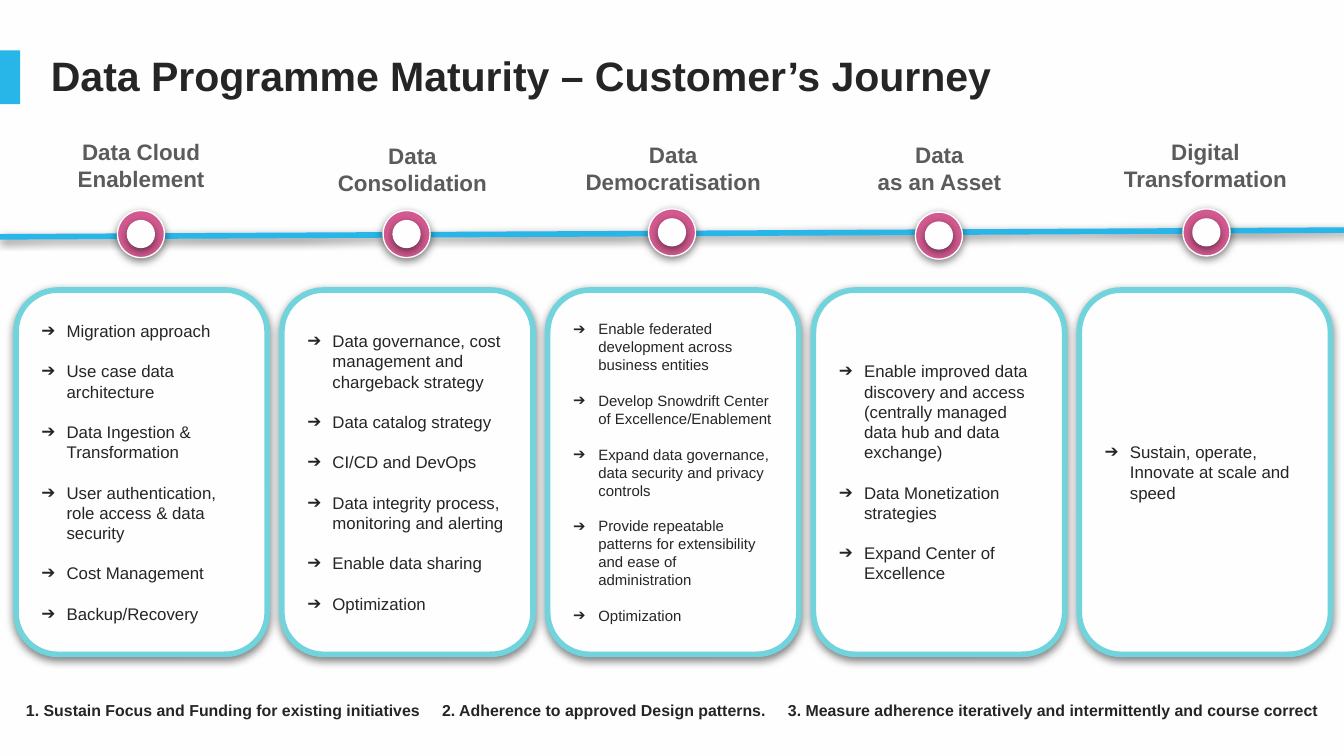
from dataclasses import dataclass

from lxml import etree
from pptx import Presentation
from pptx.dml.color import RGBColor
from pptx.enum.shapes import MSO_CONNECTOR, MSO_SHAPE
from pptx.enum.text import MSO_ANCHOR, PP_ALIGN
from pptx.oxml.ns import qn
from pptx.util import Pt

RECTANGLE = MSO_SHAPE.RECTANGLE
ROUNDED = MSO_SHAPE.ROUNDED_RECTANGLE
OVAL = MSO_SHAPE.OVAL
STRAIGHT = MSO_CONNECTOR.STRAIGHT
CENTER, LEFT = PP_ALIGN.CENTER, PP_ALIGN.LEFT
TOP, MIDDLE = MSO_ANCHOR.TOP, MSO_ANCHOR.MIDDLE

FONT = "Arial"
WHITE, BLUE, PINK, TEAL = "FEFEFF", "28B5E8", "D35A90", "71D3DC"
DARK, GREY = "252525", "5B5B5B"

CARD_LEFT, CARD_TOP, CARD_STEP = 8.6, 155.4, 142.4
CARD_WIDTH, CARD_HEIGHT = 134.6, 195.2
RING_SIZE, CORE_SIZE = 25.2, 14.4
BULLET_INDENT = 13.5
INSET = 7.2


@dataclass
class Box:
    left: float
    top: float
    width: float
    height: float


@dataclass
class Stage:
    heading: list[str]
    heading_box: Box
    marker_x: float
    marker_y: float
    items: list[str]
    size: float = 9


STAGES = [
    Stage(["Data Cloud Enablement"], Box(20.2, 67, 110.9, 38.9), 75.5, 125.4,
          ["Migration approach", "Use case data architecture",
           "Data Ingestion & Transformation",
           "User authentication, role access & data security",
           "Cost Management", "Backup/Recovery"]),
    Stage(["Data Consolidation"], Box(170.6, 69.1, 100.8, 34.6), 217.8, 125.4,
          ["Data governance, cost management and chargeback strategy",
           "Data catalog strategy", "CI/CD and DevOps",
           "Data integrity process, monitoring and alerting",
           "Enable data sharing", "Optimization"]),
    Stage(["Data", "Democratisation"], Box(303.1, 68.4, 115.2, 36.7), 360, 124.5,
          ["Enable federated development across business entities",
           "Develop Snowdrift Center of Excellence/Enablement",
           "Expand data governance, data security and privacy controls",
           "Provide repeatable patterns for extensibility and ease of administration",
           "Optimization"], 8),
    Stage(["Data", "as an Asset"], Box(438.5, 68.4, 129.6, 38.2), 503, 126.2,
          ["Enable improved data discovery and access (centrally managed data hub "
           "and data exchange)",
           "Data Monetization strategies", "Expand Center of Excellence"]),
    Stage(["Digital", "Transformation"], Box(588.2, 67, 115.2, 38.9), 646.3, 124.5,
          ["Sustain, operate, Innovate at scale and speed"]),
]

PRINCIPLES = [
    "1. Sustain Focus and Funding for existing initiatives",
    "2. Adherence to approved Design patterns.",
    "3. Measure adherence iteratively and intermittently and course correct",
]
PRINCIPLE_TABS = [222.9, 408.2]


def color(value: str) -> RGBColor:
    return RGBColor.from_string(value)


def add_shadow(shape) -> None:
    properties = shape._element.spPr
    for old in properties.findall(qn("a:effectLst")):
        properties.remove(old)
    effects = etree.SubElement(properties, qn("a:effectLst"))
    shadow = etree.SubElement(effects, qn("a:outerShdw"), blurRad=str(Pt(4.5)),
                              dist=str(Pt(1.5)), dir="5400000",
                              algn="bl", rotWithShape="0")
    black = etree.SubElement(shadow, qn("a:srgbClr"), val="000000")
    etree.SubElement(black, qn("a:alpha"), val="50000")


def add_box(shapes, kind, box: Box, fill: str, line: str = "",
            line_width: float = 0.75, shadow: bool = False):
    shape = shapes.add_shape(kind, Pt(box.left), Pt(box.top), Pt(box.width), Pt(box.height))
    shape.shadow.inherit = False
    shape.fill.solid()
    shape.fill.fore_color.rgb = color(fill)
    if line:
        shape.line.color.rgb = color(line)
        shape.line.width = Pt(line_width)
    else:
        shape.line.fill.background()
    if shadow:
        add_shadow(shape)
    return shape


def add_bullet(paragraph) -> None:
    properties = paragraph._p.get_or_add_pPr()
    properties.set("marL", str(Pt(BULLET_INDENT)))
    properties.set("indent", str(-Pt(BULLET_INDENT)))
    etree.SubElement(properties, qn("a:buFont"), typeface=FONT)
    etree.SubElement(properties, qn("a:buChar"), char="➔")


def add_tabs(paragraph, positions: list[float]) -> None:
    tabs = etree.SubElement(paragraph._p.get_or_add_pPr(), qn("a:tabLst"))
    for position in positions:
        etree.SubElement(tabs, qn("a:tab"), pos=str(Pt(position)), algn="l")


def write(shape, lines: list[str], size: float, text_color: str, bold: bool = False,
          align=LEFT, anchor=TOP, bullets: bool = False, gap: float = 0) -> None:
    frame = shape.text_frame
    frame_format = {"word_wrap": True, "vertical_anchor": anchor,
                    "margin_left": Pt(INSET), "margin_right": Pt(INSET),
                    "margin_top": Pt(INSET), "margin_bottom": Pt(INSET)}
    for name, value in frame_format.items():
        setattr(frame, name, value)
    font_format = {"name": FONT, "size": Pt(size), "bold": bold}
    for index, line in enumerate(lines):
        paragraph = frame.add_paragraph() if index else frame.paragraphs[0]
        paragraph.alignment = align
        if bullets:
            add_bullet(paragraph)
        if index and gap:
            paragraph.space_before = Pt(gap)
        run = paragraph.add_run()
        run.text = line
        for name, value in font_format.items():
            setattr(run.font, name, value)
        run.font.color.rgb = color(text_color)


def add_text(slide, box: Box, lines: list[str], size: float, text_color: str, align=LEFT):
    shape = slide.shapes.add_textbox(Pt(box.left), Pt(box.top), Pt(box.width), Pt(box.height))
    write(shape, lines, size, text_color, True, align)
    return shape


def add_marker(slide, x: float, y: float) -> None:
    group = slide.shapes.add_group_shape()
    for size, fill in ((RING_SIZE, PINK), (CORE_SIZE, WHITE)):
        box = Box(x - size / 2, y - size / 2, size, size)
        add_box(group.shapes, OVAL, box, fill, WHITE, shadow=True)


def add_stage(slide, index: int, stage: Stage) -> None:
    add_marker(slide, stage.marker_x, stage.marker_y)
    add_text(slide, stage.heading_box, stage.heading, 12, GREY, CENTER)
    box = Box(CARD_LEFT + index * CARD_STEP, CARD_TOP, CARD_WIDTH, CARD_HEIGHT)
    card = add_box(slide.shapes, ROUNDED, box, WHITE, TEAL, 3, shadow=True)
    write(card, stage.items, stage.size, DARK, anchor=MIDDLE, bullets=True,
          gap=stage.size * 1.2)


def main() -> None:
    presentation = Presentation()
    presentation.slide_width, presentation.slide_height = Pt(720), Pt(405)
    slide = presentation.slides.add_slide(presentation.slide_layouts[6])
    slide.background.fill.solid()
    slide.background.fill.fore_color.rgb = color(WHITE)

    # Title with accent bar
    add_box(slide.shapes, RECTANGLE, Box(0, 27, 10.8, 28.8), BLUE)
    title = add_text(slide, Box(20.2, 23.8, 657.4, 43.2),
                     ["Data Programme Maturity – Customer’s Journey"], 22, DARK)
    title.text_frame.paragraphs[0].line_spacing = 0.85

    # Timeline
    timeline = slide.shapes.add_connector(STRAIGHT, Pt(0), Pt(126.9), Pt(721.4), Pt(123.3))
    timeline.line.color.rgb = color(BLUE)
    timeline.line.width = Pt(3)
    add_shadow(timeline)

    # Stages: marker, heading and card
    for index, stage in enumerate(STAGES):
        add_stage(slide, index, stage)

    # Guiding principles
    footer = add_box(slide.shapes, ROUNDED, Box(4.3, 367.9, 711.4, 25.2), WHITE, WHITE)
    write(footer, ["\t".join(PRINCIPLES)], 8.5, DARK, True, anchor=MIDDLE)
    footer.text_frame.margin_left, footer.text_frame.margin_right = Pt(8.4), Pt(0)
    add_tabs(footer.text_frame.paragraphs[0], PRINCIPLE_TABS)

    presentation.save("out.pptx")


if __name__ == "__main__":
    main()
